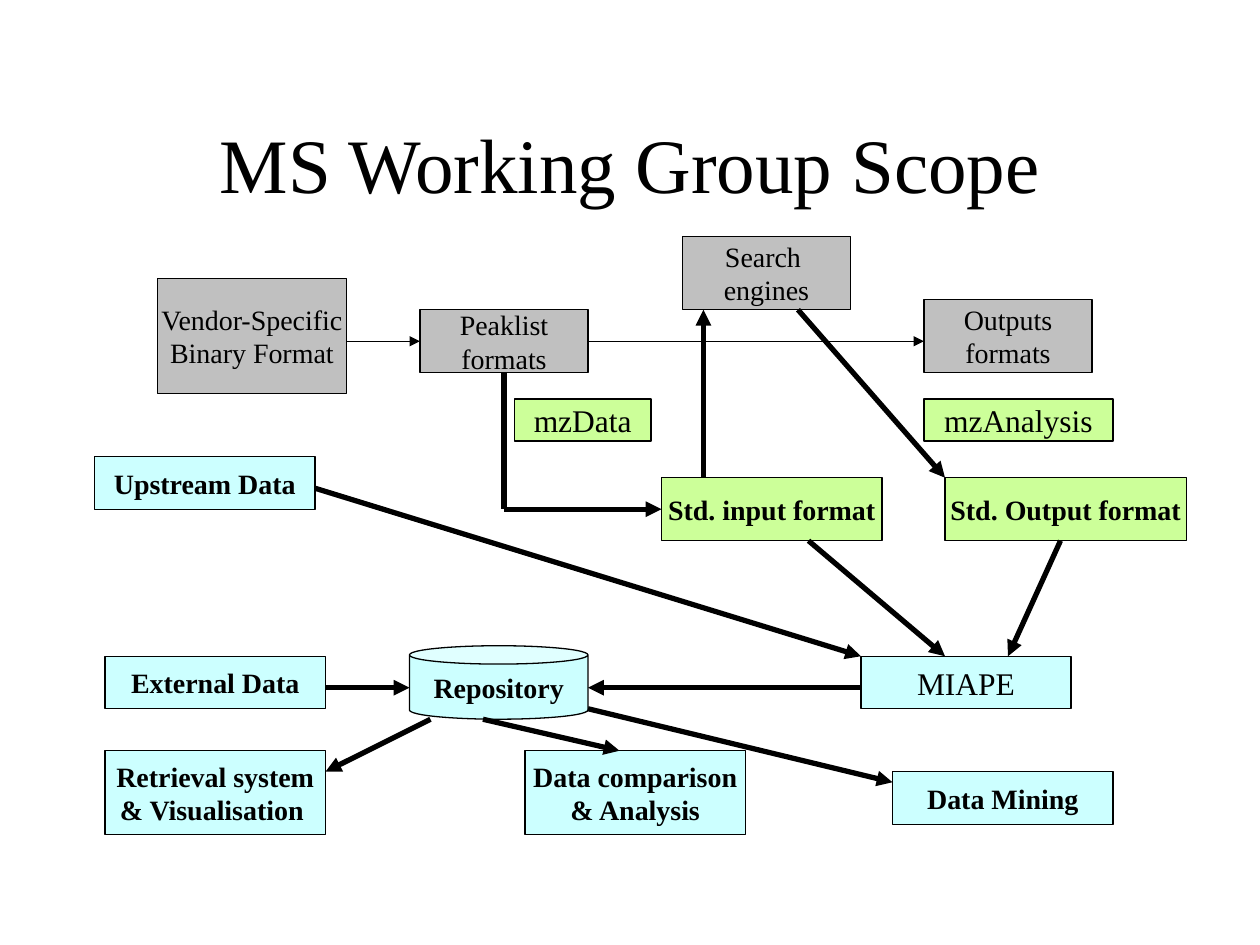
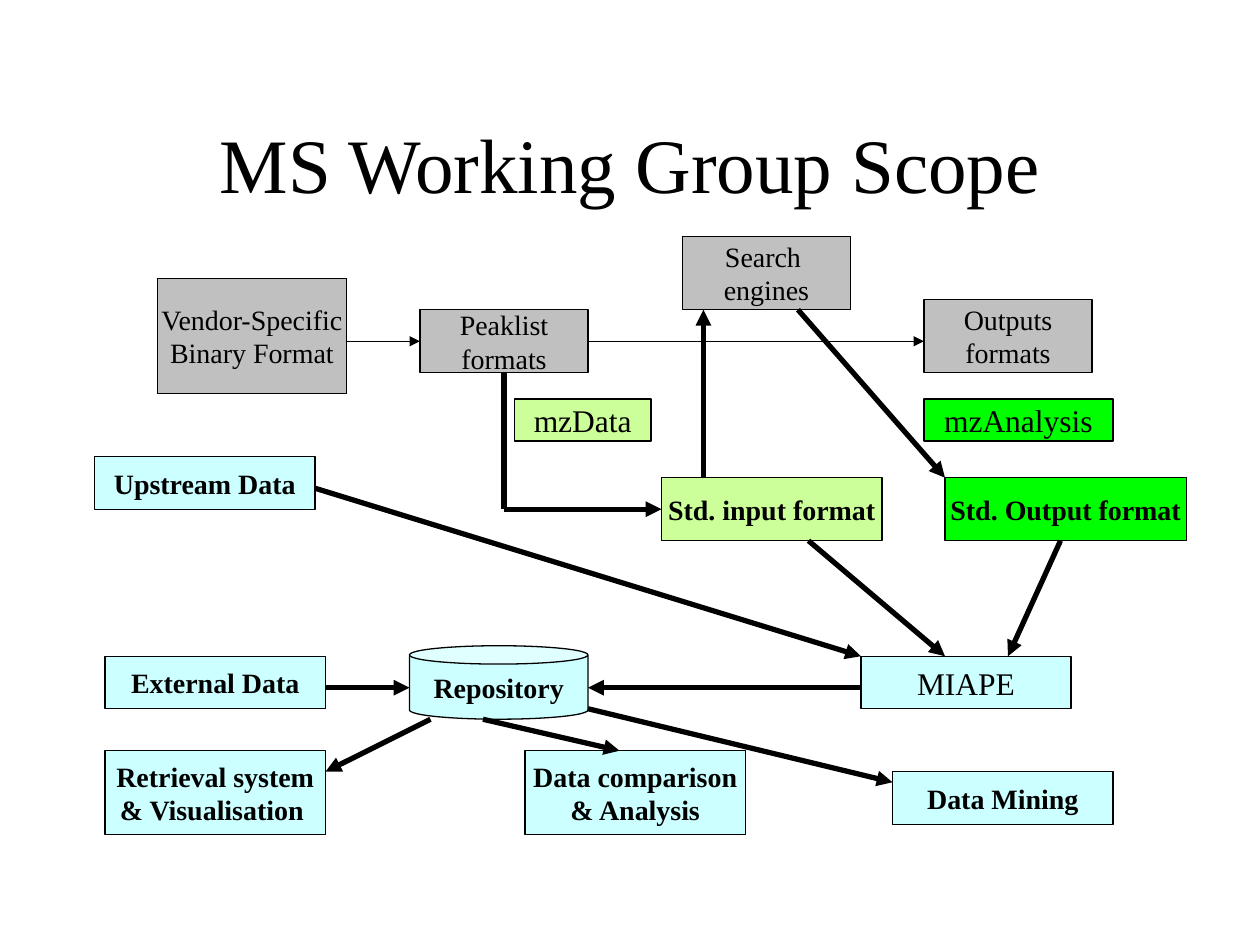
from lxml.etree import SubElement
from pptx import Presentation
from pptx.dml.color import RGBColor
from pptx.enum.shapes import MSO_CONNECTOR, MSO_SHAPE
from pptx.enum.text import MSO_ANCHOR, MSO_AUTO_SIZE, PP_ALIGN
from pptx.oxml.ns import qn
from pptx.util import Emu, Pt

PX = 9525  # EMU per px, 96 px to the inch
FONT = "Times New Roman"
BLACK = RGBColor(0x00, 0x00, 0x00)
GREY = RGBColor(0xC0, 0xC0, 0xC0)
LIME = RGBColor(0xCC, 0xFF, 0x99)
GREEN = RGBColor(0x00, 0xFF, 0x00)
CYAN = RGBColor(0xCC, 0xFF, 0xFF)
THIN, THICK = 0.75, 3
BOTTOM, LEFT, RIGHT = 2, 1, 3
TITLE_ONLY = 5


def px(*lengths):
    return [Emu(length * PX) for length in lengths]


class Diagram:
    def __init__(self, presentation):
        self.slide = presentation.slides.add_slide(
            presentation.slide_layouts[TITLE_ONLY])
        self.shapes = self.slide.shapes

    def add_text(self, shape, paragraphs, size, bold=False):
        """Fill a shape with centred text; a newline is a line break."""
        frame = shape.text_frame
        frame.vertical_anchor = MSO_ANCHOR.MIDDLE
        for number, text in enumerate(paragraphs):
            paragraph = frame.add_paragraph() if number else frame.paragraphs[0]
            paragraph.alignment = PP_ALIGN.CENTER
            for line_number, line in enumerate(text.split("\n")):
                if line_number:
                    paragraph.add_line_break()
                run = paragraph.add_run()
                run.text = line
                run.font.name = FONT
                run.font.size = Pt(size)
                run.font.bold = bold
                run.font.color.rgb = BLACK

    def title(self, text):
        title = self.slide.shapes.title
        title.left, title.top, title.width, title.height = px(72, 64, 816, 120)
        title.text_frame.auto_size = MSO_AUTO_SIZE.NONE
        self.add_text(title, [text], 44)

    def box(self, left, top, width, height, fill, *paragraphs, size=16,
            bold=False, kind=MSO_SHAPE.RECTANGLE):
        shape = self.shapes.add_shape(kind, *px(left, top, width, height))
        shape.shadow.inherit = False
        shape.fill.solid()
        shape.fill.fore_color.rgb = fill
        shape.line.color.rgb = BLACK
        shape.line.width = Pt(THIN)
        shape.text_frame.word_wrap = False
        self.add_text(shape, paragraphs, size, bold)
        return shape

    def line(self, start, end, weight=THICK, arrow=True, begin=None, finish=None):
        """Draw a line; begin and finish are (shape, site) pairs to join."""
        connector = self.shapes.add_connector(
            MSO_CONNECTOR.STRAIGHT, *px(*start, *end))
        connector.line.color.rgb = BLACK
        connector.line.width = Pt(weight)
        properties = connector.element.spPr
        if arrow:
            SubElement(properties.find(qn("a:ln")), qn("a:tailEnd"),
                       type="triangle")
        SubElement(properties, qn("a:effectLst"))
        if begin:
            connector.begin_connect(*begin)
        if finish:
            connector.end_connect(*finish)

    def start_group(self):
        self.shapes = self.slide.shapes.add_group_shape().shapes

    def end_group(self):
        self.shapes = self.slide.shapes


def draw_scope(presentation, output_color):
    diagram = Diagram(presentation)
    diagram.title("MS Working Group Scope")

    # Existing formats
    diagram.box(120, 212, 144, 88, GREY, "Vendor-Specific\nBinary Format")
    peaklist = diagram.box(320, 236, 128, 48, GREY, "Peaklist", "formats")
    diagram.box(704, 228, 128, 56, GREY, "Outputs", "formats")
    diagram.box(520, 180, 128, 56, GREY, "Search ", "engines")
    diagram.line((264, 260), (320, 260), THIN, finish=(peaklist, LEFT))
    diagram.line((448, 260), (704, 260), THIN, begin=(peaklist, RIGHT))

    # Standard formats
    diagram.box(392, 304, 104, 32, LIME, "mzData", size=18)
    diagram.box(656, 500, 160, 40, CYAN, "MIAPE", size=18)
    std_input = diagram.box(504, 364, 168, 48, LIME, "Std. input format",
                            bold=True)
    diagram.line((384, 284), (384, 388), arrow=False, begin=(peaklist, BOTTOM))
    diagram.line((384, 388), (504, 388), finish=(std_input, LEFT))
    diagram.box(720, 364, 184, 48, output_color, "Std. Output format", bold=True)
    diagram.line((616, 412), (720, 500))
    diagram.line((808, 412), (768, 500))

    # Repository and its sources
    repository = diagram.box(312, 492, 136, 56, CYAN, "Repository", bold=True,
                             kind=MSO_SHAPE.CAN)
    repository.adjustments[0] = 0.25
    diagram.line((656, 524), (448, 524))
    diagram.box(72, 348, 168, 40, CYAN, "Upstream Data", bold=True)
    diagram.line((240, 372), (656, 500))
    diagram.box(80, 500, 168, 40, CYAN, "External Data", bold=True)
    diagram.line((248, 524), (312, 524))
    diagram.line((536, 364), (536, 236))
    diagram.line((608, 236), (720, 364))

    # Uses of the repository
    diagram.start_group()
    diagram.box(80, 572, 168, 64, CYAN, "Retrieval system", "& Visualisation ",
                bold=True)
    diagram.box(400, 572, 168, 64, CYAN, "Data comparison", "& Analysis",
                bold=True)
    diagram.box(680, 588, 168, 40, CYAN, "Data Mining", bold=True)
    diagram.line((328, 548), (248, 588))
    diagram.line((368, 548), (472, 572))
    diagram.line((448, 540), (680, 596))
    diagram.end_group()

    diagram.box(704, 304, 144, 32, output_color, "mzAnalysis", size=18)


def main():
    presentation = Presentation()
    presentation.slide_width, presentation.slide_height = px(960, 720)
    for output_color in (LIME, GREEN):
        draw_scope(presentation, output_color)
    presentation.save("out.pptx")


if __name__ == "__main__":
    main()
